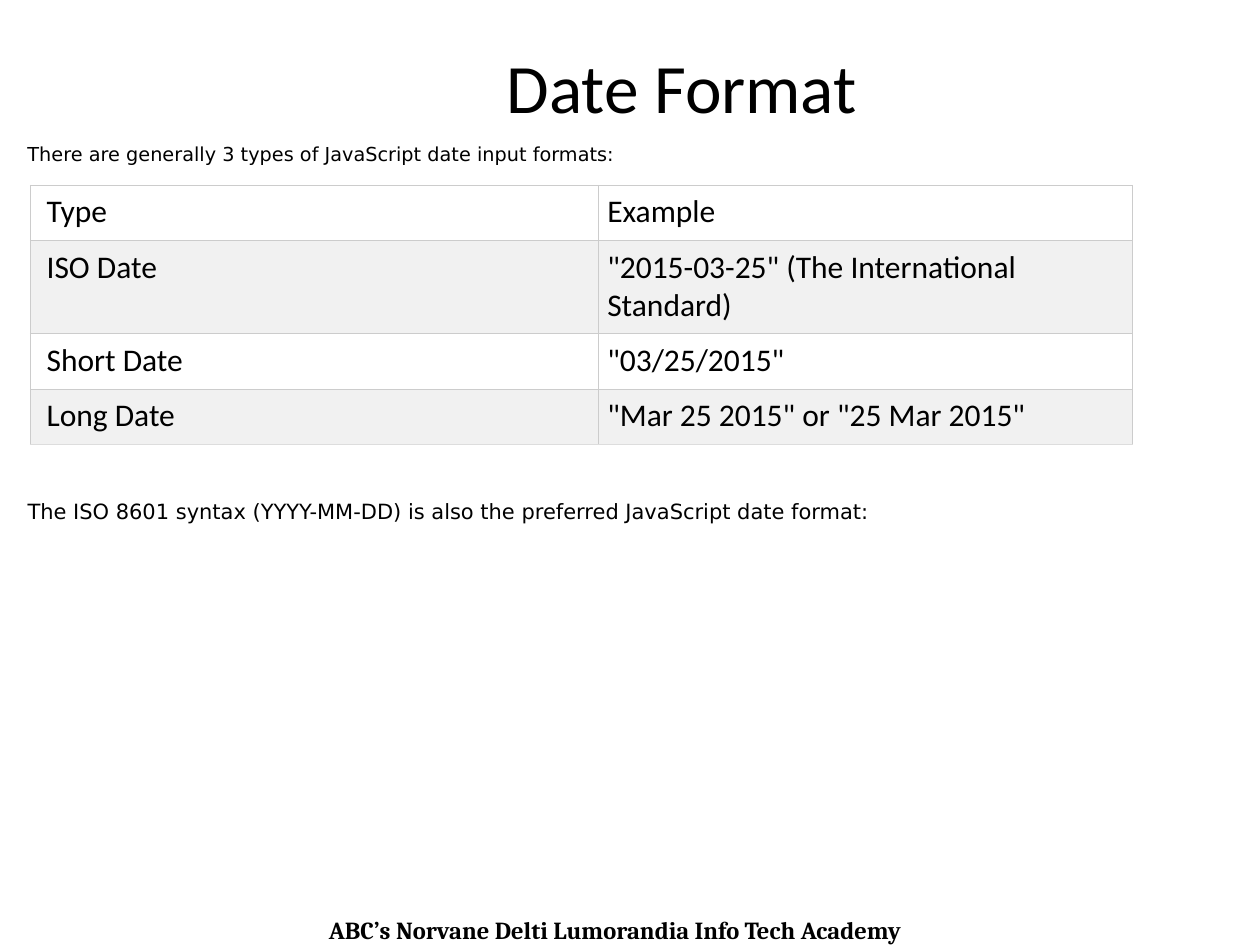
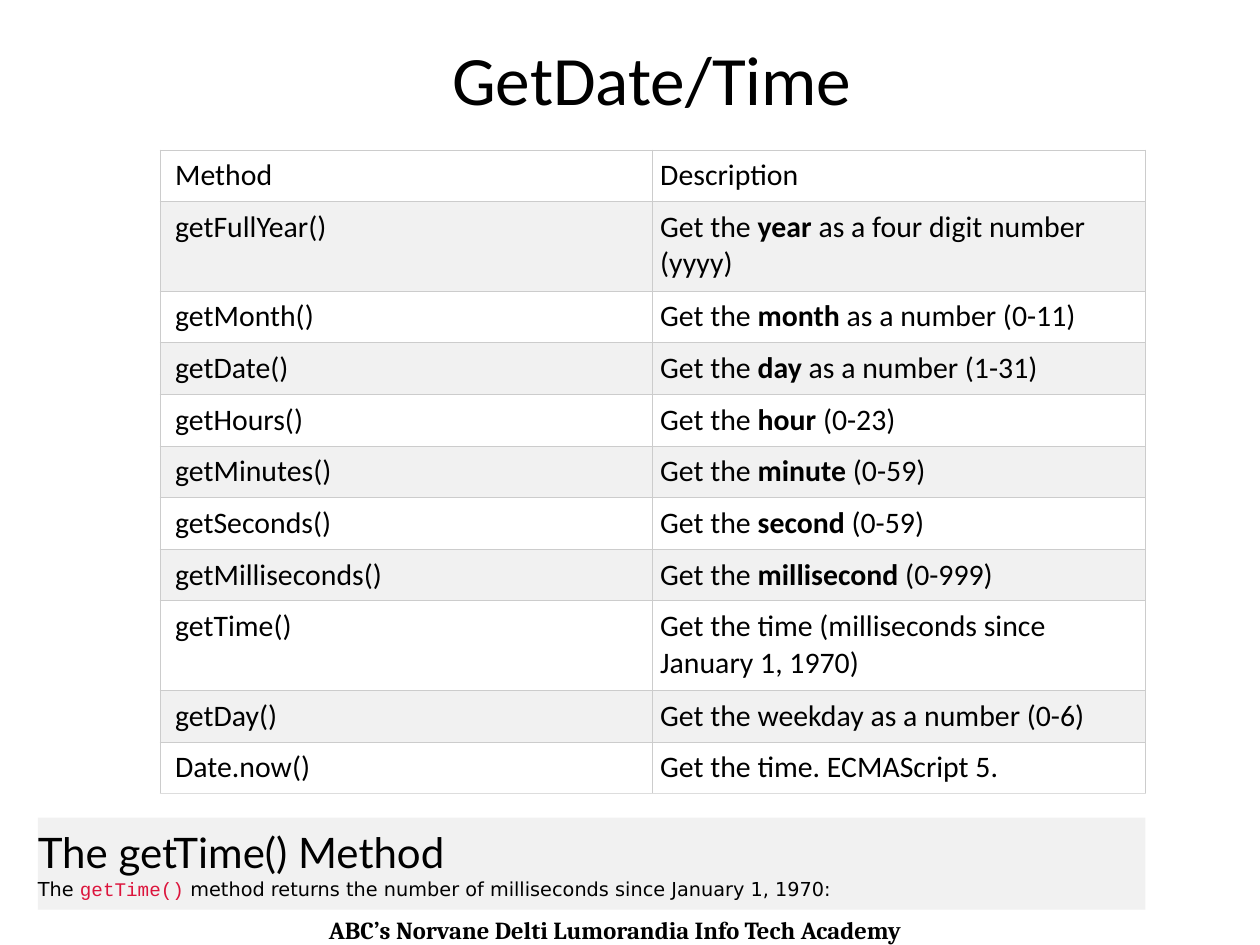
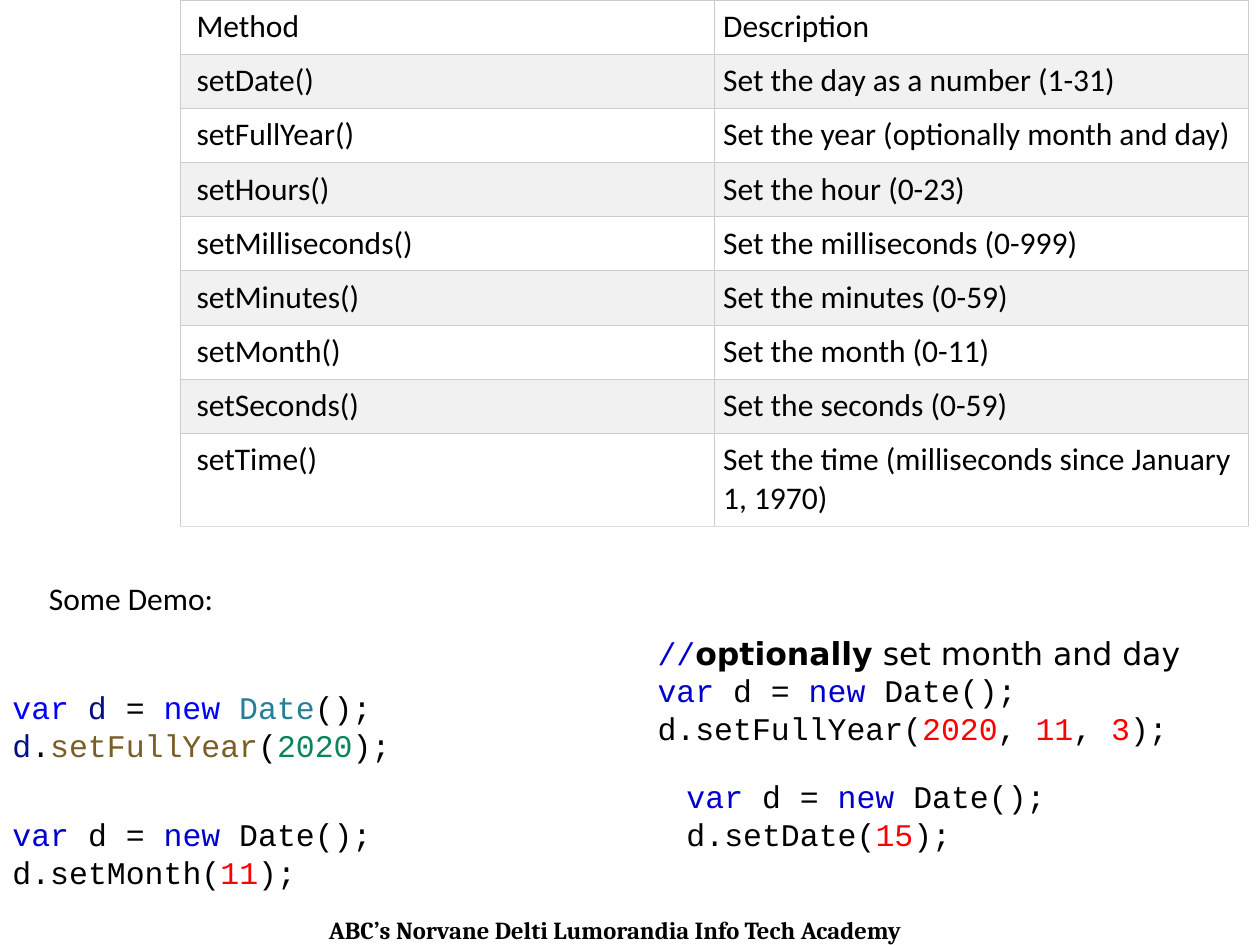
import pptx
import pptx.util
import pptx.oxml
import pptx.oxml.ns
import pptx.dml.color
import pptx.enum.text
import pptx.enum.shapes

Inches, Pt = pptx.util.Inches, pptx.util.Pt
RGB = pptx.dml.color.RGBColor
ALIGN = pptx.enum.text.PP_ALIGN
ANCHOR = pptx.enum.text.MSO_ANCHOR

# Colours
BLACK, WHITE = RGB(0, 0, 0), RGB(0xFF, 0xFF, 0xFF)
BAND = RGB(0xF1, 0xF1, 0xF1)
EDGE, FOOT_EDGE = RGB(0xCC, 0xCC, 0xCC), RGB(0xDD, 0xDD, 0xDD)
CRIMSON, RED = RGB(0xDC, 0x14, 0x3C), RGB(0xFF, 0, 0)
BLUE, KEY = RGB(0, 0, 0xFF), RGB(0, 0, 0xCD)
NAME, CLASS = RGB(0, 0x10, 0x80), RGB(0x26, 0x7F, 0x99)
CALL, NUM = RGB(0x79, 0x5E, 0x26), RGB(0x09, 0x86, 0x58)

# Text styles
TITLE = {"name": "Calibri", "size": Pt(39.6)}
FOOT = {"name": "Cambria", "size": Pt(14), "bold": True}
NOTE = {"name": "DejaVu Sans", "size": Pt(11)}
NOTE_L = {"name": "DejaVu Sans", "size": Pt(12)}
HEAD = {"name": "Lato", "size": Pt(24)}
BODY = {"name": "Calibri", "size": Pt(18)}
CODE = {"name": "Courier New", "size": Pt(18)}
CODE_S = {"name": "Courier New", "size": Pt(11)}
SANS = {"name": "DejaVu Sans", "size": Pt(18)}

# Content: table cells mark bold words with asterisks
FOOTER = "ABC’s Norvane Delti Lumorandia Info Tech Academy "
FORMATS = [
    ("Type", "Example"),
    ("ISO Date", '"2015-03-25" (The International Standard)'),
    ("Short Date", '"03/25/2015"'),
    ("Long Date", '"Mar 25 2015" or "25 Mar 2015"'),
]
GETTERS = [
    ("Method", "Description"),
    ("getFullYear()", "Get the *year* as a four digit number (yyyy)"),
    ("getMonth()", "Get the *month* as a number (0-11)"),
    ("getDate()", "Get the *day* as a number (1-31)"),
    ("getHours()", "Get the *hour* (0-23)"),
    ("getMinutes()", "Get the *minute* (0-59)"),
    ("getSeconds()", "Get the *second* (0-59)"),
    ("getMilliseconds()", "Get the *millisecond* (0-999)"),
    ("getTime()", "Get the time (milliseconds since January 1, 1970)"),
    ("getDay()", "Get the weekday as a number (0-6)"),
    ("Date.now()", "Get the time. ECMAScript 5."),
]
SETTERS = [
    ("Method", "Description"),
    ("setDate()", "Set the day as a number (1-31)"),
    ("setFullYear()", "Set the year (optionally month and day)"),
    ("setHours()", "Set the hour (0-23)"),
    ("setMilliseconds()", "Set the milliseconds (0-999)"),
    ("setMinutes()", "Set the minutes (0-59)"),
    ("setMonth()", "Set the month (0-11)"),
    ("setSeconds()", "Set the seconds (0-59)"),
    ("setTime()", "Set the time (milliseconds since January 1, 1970)"),
]
GET_TIME = [
    [("The getTime() Method", BLACK, HEAD)],
    [("The ", BLACK), ("getTime()", CRIMSON, CODE_S),
     (" method returns the number of milliseconds since January 1, 1970:", BLACK)],
]
NEW_DATE = [("var", KEY), (" d = ", BLACK), ("new", KEY), (" Date();", BLACK)]


def call(name, *nums):
    """Runs of a call on d, with its numbers in red."""
    runs = [("d." + name + "(", BLACK)]
    for i, num in enumerate(nums):
        runs += [(", ", BLACK)] * (i > 0) + [(num, RED)]
    return runs + [(");", BLACK)]


DEMOS = [
    ((0, 5.41, 5.04, 0.71), [
        [("var ", BLUE), ("d", NAME), (" = ", BLACK), ("new ", BLUE),
         ("Date", CLASS), ("();", BLACK)],
        [("d", NAME), (".", BLACK), ("setFullYear", CALL), ("(", BLACK),
         ("2020", NUM), (");", BLACK)]]),
    ((5.12, 4.98, 4.79, 1.01), [
        [("//", KEY), ("optionally", BLACK, {**SANS, "bold": True}),
         (" set month and day", BLACK, SANS)],
        NEW_DATE, call("setFullYear", "2020", "11", "3")]),
    ((0, 6.42, 3.11, 0.71), [NEW_DATE, call("setMonth", "11")]),
    ((5.35, 6.12, 3.56, 0.71), [NEW_DATE, call("setDate", "15")]),
]


# Helpers
def assign(obj, fmt):
    for key, value in fmt.items():
        setattr(obj, key, value)


def write(frame, lines, style, align=ALIGN.LEFT):
    """Fill a frame with lines of (text, colour[, style]) runs."""
    for i, line in enumerate(lines):
        para = frame.add_paragraph() if i else frame.paragraphs[0]
        para.alignment = align
        for text, colour, *own in line:
            run = para.add_run()
            run.text = text
            assign(run.font, own[0] if own else style)
            run.font.color.rgb = colour


def add_text(slide, at, lines, style, align=ALIGN.LEFT, **fmt):
    frame = slide.shapes.add_textbox(*map(Inches, at)).text_frame
    assign(frame, {"word_wrap": True, **fmt})
    if isinstance(lines, str):
        lines = [[(lines, BLACK)]]
    write(frame, lines, style, align)


def add_edges(cell, last):
    props = cell._tc.get_or_add_tcPr()
    for side in "LRTB":
        colour = FOOT_EDGE if last and side == "B" else EDGE
        props.append(pptx.oxml.parse_xml(
            f'<a:ln{side} {pptx.oxml.ns.nsdecls("a")} w="{Pt(0.6)}"><a:solidFill>'
            f'<a:srgbClr val="{colour}"/></a:solidFill></a:ln{side}>'))


def add_grid(slide, spot, cols, rows, size, short, tall, wraps, pad):
    """Striped table; rows listed in wraps hold two lines."""
    highs = [tall if r in wraps else short for r in range(len(rows))]
    table = slide.shapes.add_table(len(rows), len(cols), *map(
        Inches, (*spot, sum(cols), sum(highs)))).table
    assign(table, {"first_row": False, "horz_banding": False})
    for col, wide in zip(table.columns, cols):
        col.width = Inches(wide)
    for r, texts in enumerate(rows):
        table.rows[r].height = Inches(highs[r])
        for c, text in enumerate(texts):
            cell = table.cell(r, c)
            assign(cell, {"margin_left": Inches(pad if c else pad + 0.06),
                          "margin_right": Inches(pad),
                          "margin_top": Inches(0.06),
                          "margin_bottom": Inches(0.06)})
            add_edges(cell, r == len(rows) - 1)
            cell.fill.solid()
            cell.fill.fore_color.rgb = BAND if r % 2 else WHITE
            runs = [(part, BLACK, {**BODY, "size": Pt(size), "bold": i % 2 == 1})
                    for i, part in enumerate(text.split("*"))]
            write(cell.text_frame, [runs], BODY)


def add_slide(deck, title=None, at=None):
    slide = deck.slides.add_slide(deck.slide_layouts[5 if title else 6])
    add_text(slide, (0.25, 7.21, 9.31, 0.34), FOOTER, FOOT, ALIGN.CENTER)
    if title:
        head = slide.shapes.title
        assign(head, dict(zip(("left", "top", "width", "height"), map(Inches, at))))
        head.text_frame.vertical_anchor = ANCHOR.MIDDLE
        write(head.text_frame, [[(title, BLACK)]], TITLE, ALIGN.CENTER)
    return slide


def main():
    deck = pptx.Presentation()
    assign(deck, {"slide_width": Inches(10), "slide_height": Inches(7.5)})

    # Date formats
    slide = add_slide(deck, "Date Format", (1.32, 0.3, 8.18, 0.76))
    add_grid(slide, (0.24, 1.47), (4.51, 4.24), FORMATS, 18, 0.44, 0.74, {1}, 0.07)
    add_text(slide, (0.12, 0.97, 10, 0.5),
             "There are generally 3 types of JavaScript date input formats:",
             NOTE, word_wrap=False, vertical_anchor=ANCHOR.MIDDLE)
    add_text(slide, (0.12, 3.91, 9.69, 0.3),
             "The ISO 8601 syntax (YYYY-MM-DD) is also the preferred "
             "JavaScript date format:", NOTE_L)

    # Get methods
    slide = add_slide(deck, "GetDate/Time", (0.85, 0.3, 8.65, 0.64))
    add_grid(slide, (1.27, 1.19), (3.91, 3.91), GETTERS, 17, 0.41, 0.71, {1, 8}, 0.06)
    panel = slide.shapes.add_shape(pptx.enum.shapes.MSO_SHAPE.RECTANGLE,
                                   *map(Inches, (0.3, 6.49, 8.79, 0.73)))
    panel.shadow.inherit = False
    panel.fill.solid()
    panel.fill.fore_color.rgb = BAND
    panel.line.fill.background()
    assign(panel.text_frame, {
        "word_wrap": True, "vertical_anchor": ANCHOR.MIDDLE,
        "margin_left": 0, "margin_right": 0,
        "margin_top": Inches(0.07), "margin_bottom": Inches(0.07)})
    write(panel.text_frame, GET_TIME, NOTE)

    # Set methods
    slide = add_slide(deck)
    add_grid(slide, (1.43, 0), (4.24, 4.24), SETTERS, 18, 0.43, 0.74, {8}, 0.07)
    for at, lines in DEMOS:
        add_text(slide, at, lines, CODE)
    add_text(slide, (0.29, 4.55, 7.53, 0.4), "Some Demo:", BODY)

    deck.save("out.pptx")


if __name__ == "__main__":
    main()
